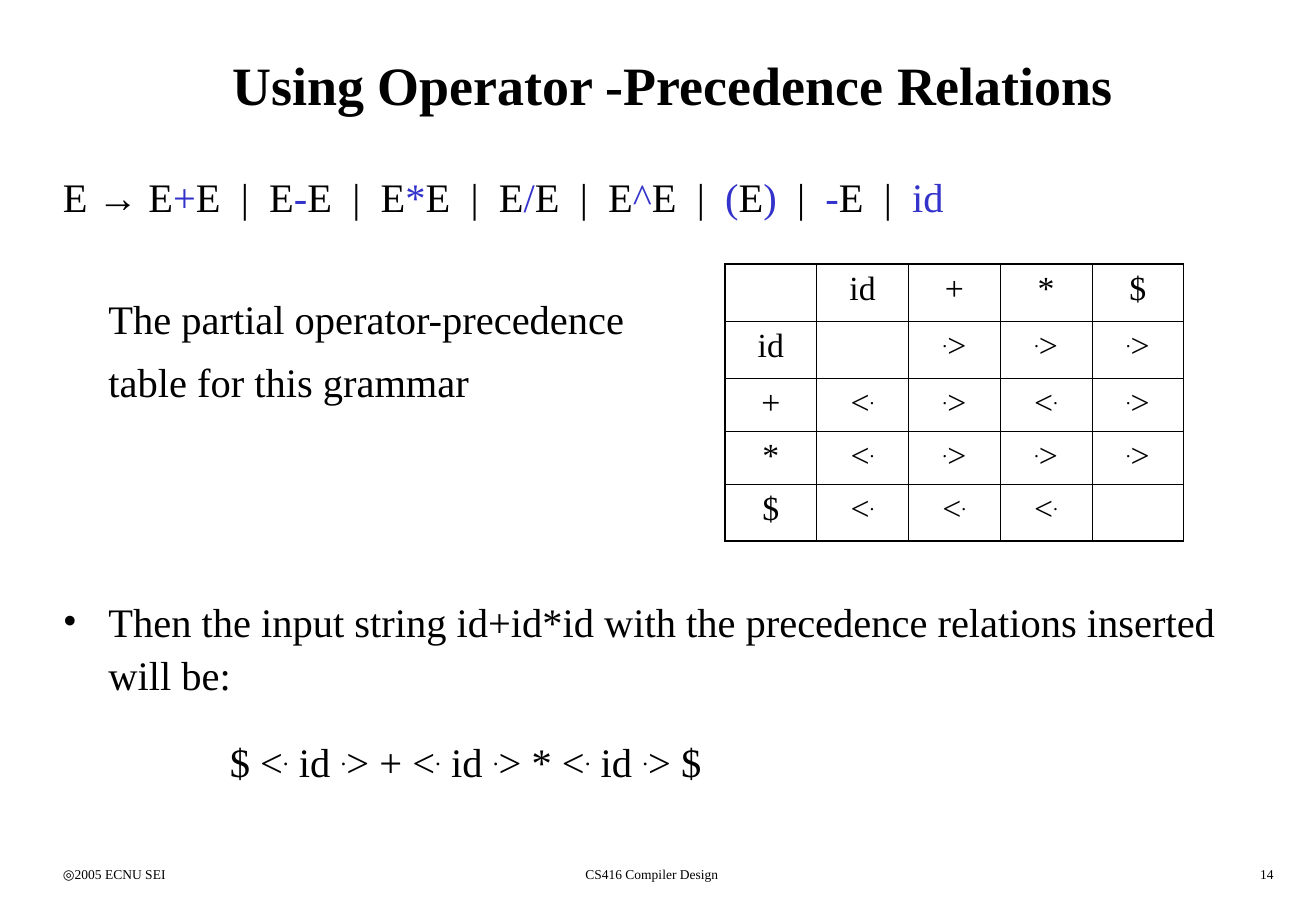
"""Slide on operator-precedence relations, with a grammar and its partial table."""
from lxml.etree import SubElement
from pptx import Presentation
from pptx.dml.color import RGBColor
from pptx.enum.text import MSO_ANCHOR, PP_ALIGN
from pptx.oxml.ns import qn
from pptx.util import Pt

COLOURS = {"ink": "000000", "terminal": "3333CC"}
GRAMMAR = ("E `→` E`+`E  |  E`-`E  |  E`*`E  |  E`/`E  |  E`^`E  | ` (`E`) ` |  "
           "`-`E  |  `id`")
LESS, GREATER = "<`.`", "`.`>"
PRECEDENCE = [
    ["", "id", "+", "*", "$"],
    ["id", "", GREATER, GREATER, GREATER],
    ["+", LESS, GREATER, LESS, GREATER],
    ["*", LESS, GREATER, GREATER, GREATER],
    ["$", LESS, LESS, LESS, ""],
]


class PrecedenceSlide:
    face = "Times New Roman"
    thin, thick = 0.45, 1.08

    def __init__(self, width, height):
        self.deck = Presentation()
        self.deck.slide_width, self.deck.slide_height = Pt(width), Pt(height)
        self.slide = self.deck.slides.add_slide(self.deck.slide_layouts[6])

    def typeset(self, paragraph, markup, size, align=PP_ALIGN.LEFT, bold=False):
        paragraph.alignment = align
        font = paragraph.font
        font.name, font.size, font.bold = self.face, Pt(size), bold
        font.color.rgb = RGBColor.from_string(COLOURS["ink"])
        for position, piece in enumerate(markup.split("`")):
            if not piece:
                continue
            run = paragraph.add_run()
            run.text = piece
            if position % 2 == 0:
                continue
            if piece == ".":
                run.font._element.set("baseline", "30000")
            elif piece == "→":
                run.font.name = "Arial"
            else:
                run.font.color.rgb = RGBColor.from_string(COLOURS["terminal"])

    def frame(self, left, top, width, height, anchor=MSO_ANCHOR.TOP):
        box = self.slide.shapes.add_textbox(Pt(left), Pt(top), Pt(width), Pt(height))
        box.text_frame.word_wrap = True
        box.text_frame.vertical_anchor = anchor
        return box.text_frame

    def line(self, place, text, size, align=PP_ALIGN.LEFT, bold=False,
             anchor=MSO_ANCHOR.TOP):
        self.typeset(self.frame(*place, anchor).paragraphs[0], text, size, align, bold)

    def body(self, place, entries, size):
        frame = self.frame(*place)
        for number, (markup, margin, gap, bullet) in enumerate(entries):
            paragraph = frame.add_paragraph() if number else frame.paragraphs[0]
            paragraph.line_spacing = 1.1
            if gap:
                paragraph.space_before = Pt(gap)
            properties = paragraph._p.get_or_add_pPr()
            properties.set("marL", str(Pt(margin)))
            properties.set("indent", str(-Pt(margin) if bullet else 0))
            if bullet:
                SubElement(properties, qn("a:buFont"), typeface=self.face)
                SubElement(properties, qn("a:buChar"), char="•")
            self.typeset(paragraph, markup, size)

    def border(self, cell, side, weight):
        edge = SubElement(cell._tc.get_or_add_tcPr(), qn(f"a:ln{side}"), w=str(Pt(weight)))
        SubElement(SubElement(edge, qn("a:solidFill")), qn("a:srgbClr"), val=COLOURS["ink"])

    def table(self, left, top, column_width, row_heights, rows, size):
        last = len(rows) - 1
        grid = self.slide.shapes.add_table(
            len(rows), len(rows[0]), Pt(left), Pt(top),
            Pt(column_width * len(rows[0])), Pt(sum(row_heights))).table
        for column in grid.columns:
            column.width = Pt(column_width)
        for r, (height, symbols) in enumerate(zip(row_heights, rows)):
            grid.rows[r].height = Pt(height)
            for c, symbol in enumerate(symbols):
                cell = grid.cell(r, c)
                outer = {"L": c == 0, "R": c == last, "T": r == 0, "B": r == last}
                for side, is_outer in outer.items():
                    self.border(cell, side, self.thick if is_outer else self.thin)
                cell.fill.background()
                self.typeset(cell.text_frame.paragraphs[0], symbol, size, PP_ALIGN.CENTER)


def main():
    page = PrecedenceSlide(780.48, 540)
    for left, width, text, align in [
        (30.24, 162.7, "◎2005 ECNU SEI", PP_ALIGN.LEFT),
        (240.5, 292.3, "CS416 Compiler Design", PP_ALIGN.CENTER),
        (599.8, 162.7, "14", PP_ALIGN.RIGHT),
    ]:
        page.line((left, 509.8, width, 18), text, 8, align)
    page.line((30.24, 14, 738, 72), "Using Operator -Precedence Relations", 32,
              PP_ALIGN.CENTER, True, MSO_ANCHOR.MIDDLE)
    page.body((30.24, 95.76, 700.6, 401.8), [
        (GRAMMAR, 0, 0, False),
        ("The partial operator-precedence", 27, 40.3, False),
        ("table for this grammar", 27, 6, False),
        ("Then the input string id+id*id with the precedence relations inserted will be:",
         27, 110.3, True),
        (f"$ {LESS} id {GREATER} + {LESS} id {GREATER} * {LESS} id {GREATER} $",
         99, 20, False),
    ], 24)
    page.table(430, 156.6, 54.4, [33.8, 33.8, 31.4, 31.4, 33.8], PRECEDENCE, 20)
    page.deck.save("out.pptx")


if __name__ == "__main__":
    main()
